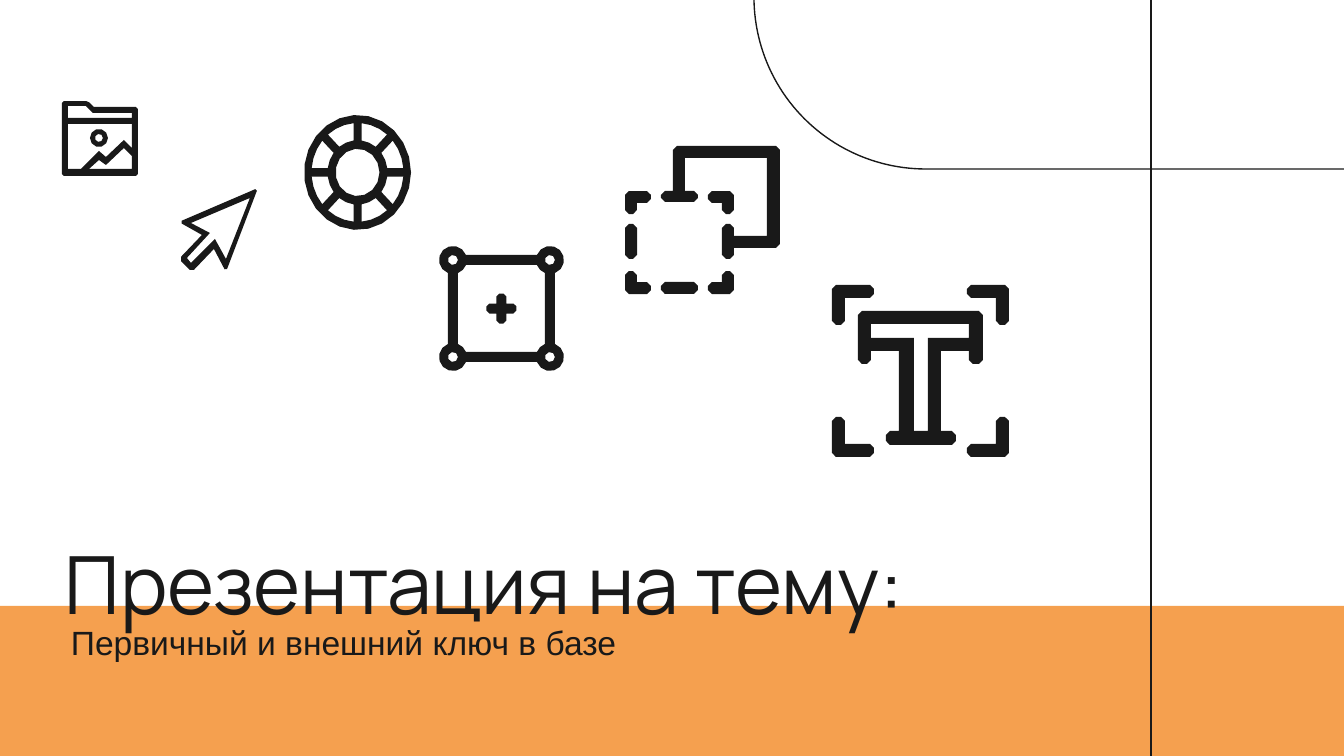
import math

import lxml.etree
import pptx
import pptx.dml.color
import pptx.enum.shapes
import pptx.enum.text
import pptx.oxml.ns
import pptx.util

PX = 914400 / 134.4
INK = pptx.dml.color.RGBColor(0x19, 0x19, 0x19)
ORANGE = pptx.dml.color.RGBColor(0xF5, 0xA0, 0x4F)
PRESET = pptx.enum.shapes.MSO_SHAPE
ANCHOR = pptx.enum.text.MSO_ANCHOR
CORNERS = [(1, 1), (-1, 1), (-1, -1), (1, -1)]


def px(length):
    return pptx.util.Emu(round(length * PX))


def apply(target, values):
    for name, value in values.items():
        setattr(target, name, value)


def arc(cx, cy, rx, ry, start=0, end=360):
    widest = 2 * math.degrees(math.acos(1 - 0.5 / rx))
    steps = math.ceil(abs(end - start) / widest)
    angles = [math.radians(start + (end - start) * i / steps) for i in range(steps + 1)]
    return [(cx + rx * math.cos(a), cy + ry * math.sin(a)) for a in angles]


def softened(points, cut):
    result = []
    for i, (x, y) in enumerate(points):
        before, after = points[i - 1], points[(i + 1) % len(points)]
        (ax, ay), (bx, by) = [(p[0] - x, p[1] - y) for p in (before, after)]
        if ax * by - ay * bx > 0:
            result.append((x, y))
            continue
        for dx, dy in ((ax, ay), (bx, by)):
            share = cut / math.hypot(dx, dy)
            result.append((x + share * dx, y + share * dy))
    return result


def rectangle(x, y, width, height):
    return [(x, y), (x + width, y), (x + width, y + height), (x, y + height)]


def draw_outline(slide, left, top, *contours):
    placed = [[(px(left + x), px(top + y)) for x, y in contour] for contour in contours]
    builder = slide.shapes.build_freeform(*placed[0][0], scale=1.0)
    for i, contour in enumerate(placed):
        if i:
            builder.move_to(*contour[0])
        builder.add_line_segments(contour[1:], close=True)
    outline = builder.convert_to_shape()
    outline.shadow.inherit = False
    outline.fill.solid()
    outline.fill.fore_color.rgb = INK
    outline.line.fill.background()


def draw_brackets(slide, left, top, width, height, arm, leg, thick):
    elbow = [(0, 0), (arm, 0), (arm, thick), (thick, thick), (thick, leg), (0, leg)]
    for sx, sy in CORNERS:
        x0, y0 = (0 if sx > 0 else width), (0 if sy > 0 else height)
        bracket = [(x0 + sx * x, y0 + sy * y) for x, y in elbow][::sx * sy]
        draw_outline(slide, left, top, softened(bracket, 4))


def draw_folder(slide, left, top):
    folder = [(0, 0), (26, 0), (32, 6), (76, 6), (76, 75), (0, 75)]
    tab = [(6, 5), (24, 5), (31, 12), (70, 12), (70, 17), (6, 17)]
    sky = [(6, 23), (70, 23), (70, 47), (62, 39), (44, 56), (37, 50), (19, 68), (6, 68)]
    hills = [(62, 47), (70, 55), (70, 68), (27, 68), (37, 59), (44, 64)]
    draw_outline(slide, left, top, softened(folder, 2), tab, sky, hills)
    draw_outline(slide, left, top, arc(37, 37, 9, 9), arc(37, 37, 4, 4))


def draw_cursor(slide, left, top):
    arrow = [(79, 0), (47, 84), (35, 61), (13, 84), (0, 71), (23, 47), (0, 34)]
    inside = [(71, 10), (47, 71), (36, 51), (12, 75), (8, 70), (31, 45), (12, 35)]
    draw_outline(slide, left, top, softened(arrow, 3), inside)


def draw_colour_wheel(slide, left, top, width, height):
    cx, cy, stretch = width / 2, height / 2, height / width

    def ring(radius, start=0, end=360):
        return arc(cx, cy, radius, radius * stretch, start, end)

    contours = [ring(cx), ring(22)]
    rim_gap, hub_gap = [math.degrees(math.asin(4 / r)) for r in (46, 30)]
    for start in range(0, 360, 45):
        end = start + 45
        contours.append(ring(46, start + rim_gap, end - rim_gap)
                        + ring(30, end - hub_gap, start + hub_gap))
    draw_outline(slide, left, top, *contours)


def draw_transform_box(slide, left, top, size):
    node, bar = 14, 5
    near, far, middle = node, size - node, size / 2
    gap = math.degrees(math.asin(bar / node))
    outside, inside, holes = [], [], []
    for i, (x, y) in enumerate([(near, near), (far, near), (far, far), (near, far)]):
        turn = 90 * i
        outside += arc(x, y, node, node, turn + 90 + gap, turn + 360 - gap)
        inside += arc(x, y, node, node, turn + 90 - gap, turn + gap)
        holes.append(arc(x, y, 5, 5))
    draw_outline(slide, left, top, outside, inside, *holes)
    plus = []
    for sx, sy in CORNERS:
        tips = [(-15, -5), (-5, -5), (-5, -15)][::sx * sy]
        plus += [(middle + sx * x, middle + sy * y) for x, y in tips]
    draw_outline(slide, left, top, softened(plus, 3))


def draw_layers(slide, left, top):
    back = [(48, 0), (155, 0), (155, 102), (109, 102), (109, 113), (97, 113), (97, 78),
            (109, 78), (109, 90), (142, 90), (142, 12), (60, 12), (60, 45), (73, 45),
            (73, 56), (36, 56), (36, 45), (48, 45)]
    draw_brackets(slide, left, top + 45, 109, 103, 26, 23, 12)
    for part in (rectangle(0, 78, 12, 35), rectangle(36, 136, 37, 12), back):
        draw_outline(slide, left, top, softened(part, 4))


def draw_text_tool(slide, left, top):
    letter = [(26, 26), (151, 26), (151, 79), (137, 79), (137, 66), (109, 66), (109, 146),
              (124, 146), (124, 160), (54, 160), (54, 146), (67, 146), (67, 66), (39, 66),
              (39, 79), (26, 79)]
    inside = [(39, 39), (137, 39), (137, 53), (96, 53), (96, 146), (82, 146), (82, 53), (39, 53)]
    draw_outline(slide, left, top, softened(letter, 4), inside)
    draw_brackets(slide, left, top, 177, 172, 42, 40, 13)


def draw_backdrop(slide, width):
    band = slide.shapes.add_shape(PRESET.RECTANGLE, 0, px(606), px(width), px(154))
    band.fill.solid()
    band.fill.fore_color.rgb = ORANGE
    band.line.fill.background()
    curve = slide.shapes.add_shape(PRESET.ROUNDED_RECTANGLE, px(754), px(-175), px(777), px(344))
    curve.adjustments[0] = 0.5
    curve.fill.background()
    for part in (band, curve):
        part.shadow.inherit = False
    rule = slide.shapes.add_connector(
        pptx.enum.shapes.MSO_CONNECTOR.STRAIGHT, px(1151), px(-12), px(1151), px(814))
    lxml.etree.SubElement(rule._element.spPr, pptx.oxml.ns.qn("a:effectLst"))
    for part in (curve, rule):
        part.line.color.rgb = INK
        part.line.width = pptx.util.Pt(0.75)


def write_text(slide, left, top, width, height, words, frame_format, font_format):
    frame = slide.shapes.add_textbox(px(left), px(top), px(width), px(height)).text_frame
    insets = {f"margin_{side}": px(13) for side in ("left", "top", "right", "bottom")}
    apply(frame, {"word_wrap": True, **insets, **frame_format})
    run = frame.paragraphs[0].add_run()
    run.text = words
    apply(run.font, font_format)
    run.font.color.rgb = INK
    return frame.paragraphs[0]


def write_headings(slide, left, top, width):
    write_text(slide, left, top, width, 203, "Презентация на тему:",
               {"vertical_anchor": ANCHOR.BOTTOM, "margin_bottom": px(101)},
               {"name": "Manrope", "size": pptx.util.Pt(43)})
    topic = write_text(slide, left - 17, top + 89, width, 75, "Первичный и внешний ключ в базе",
                       {"vertical_anchor": ANCHOR.TOP},
                       {"name": "Arial", "size": pptx.util.Pt(18)})
    for name, value in {"marL": 67, "indent": -44}.items():
        topic._p.get_or_add_pPr().set(name, str(px(value)))


def main():
    deck = pptx.Presentation()
    apply(deck, {"slide_width": px(1344), "slide_height": px(756)})
    slide = deck.slides.add_slide(deck.slide_layouts[6])
    draw_backdrop(slide, 1344)
    write_headings(slide, 52, 520, 961)
    draw_folder(slide, 62, 101)
    draw_cursor(slide, 179, 188)
    draw_colour_wheel(slide, 304, 115, 107, 115)
    draw_transform_box(slide, 439, 246, 125)
    draw_layers(slide, 625, 146)
    draw_text_tool(slide, 832, 285)
    deck.save("out.pptx")


if __name__ == "__main__":
    main()
